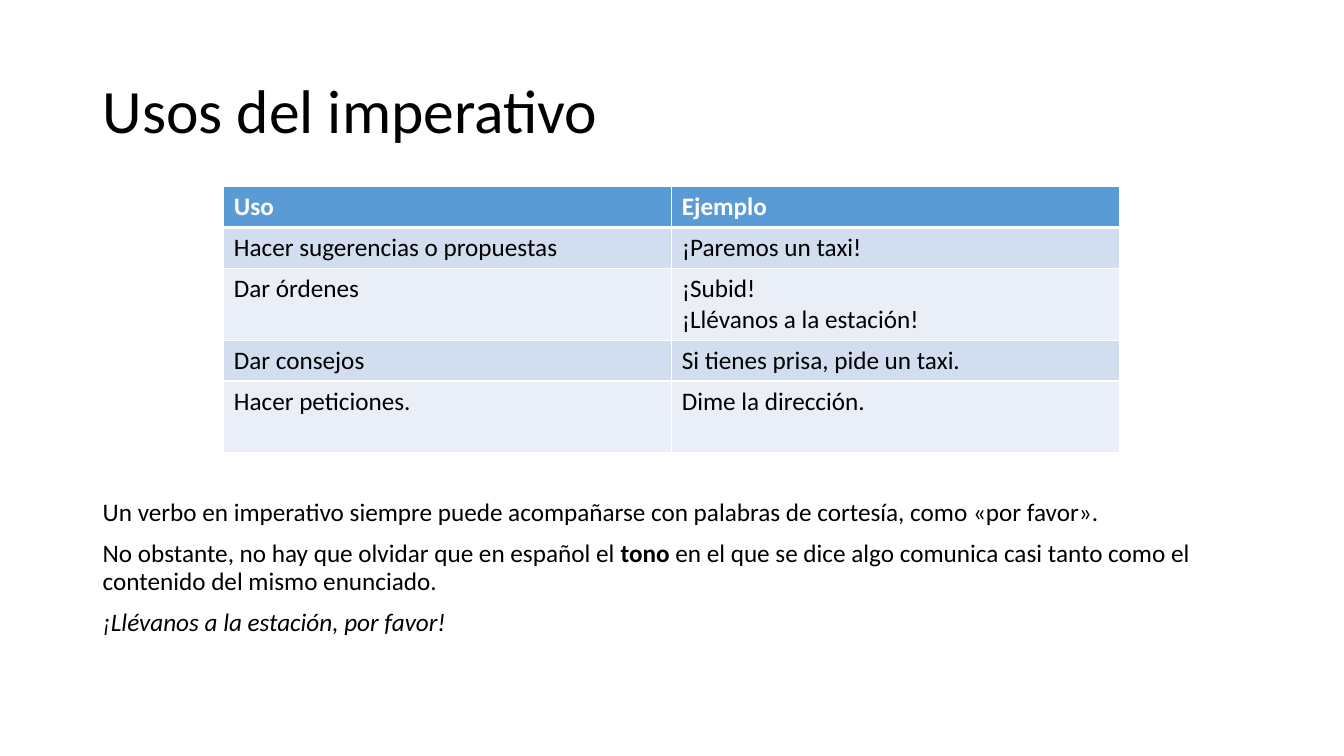
from dataclasses import dataclass
from lxml.etree import SubElement as Sub
from pptx import Presentation
from pptx.dml.color import RGBColor as Rgb
from pptx.enum.text import MSO_ANCHOR as Anchor, MSO_AUTO_SIZE as Fit, PP_ALIGN as Align
from pptx.oxml.ns import qn
from pptx.util import Cm, Pt


@dataclass(frozen=True)
class Theme:
    font: str = "Calibri"
    ink: str = "000000"
    white: str = "FFFFFF"
    head: str = "5B9BD5"
    bands: tuple = ("D2DEEF", "EAEFF7")
    title: int = 44
    text: int = 18


THEME = Theme()
LEFT, WIDTH = 2.34, 29.21

USES = [
    ("Uso", "Ejemplo"),
    ("Hacer sugerencias o propuestas", "¡Paremos un taxi!"),
    ("Dar órdenes", "¡Subid!\n¡Llévanos a la estación!"),
    ("Dar consejos", "Si tienes prisa, pide un taxi."),
    ("Hacer peticiones.", "Dime la dirección."),
]
LOW, TALL = 1.03, 1.81
ROWS = [LOW, LOW, TALL, LOW, TALL]

# Each note is a list of (text, style) pieces
NOTES = [
    [("Un verbo en imperativo siempre puede acompañarse con palabras "
      "de cortesía, como «por favor».", "")],
    [("No obstante, no hay que olvidar que en español el ", ""),
     ("tono", "bold"),
     (" en el que se dice algo comunica casi tanto como el contenido "
      "del mismo enunciado.", "")],
    [("¡Llévanos a la estación, por favor!", "italic")],
]


def style(run, size, color=THEME.ink, bold=False, italic=False):
    font = run.font
    font.name, font.size = THEME.font, Pt(size)
    font.bold, font.italic = bold, italic
    font.color.rgb = Rgb.from_string(color)


def add_title(slide, text):
    title = slide.shapes.title
    title.left, title.top = Cm(LEFT), Cm(1.02)
    title.width, title.height = Cm(WIDTH), Cm(3.68)
    frame = title.text_frame
    frame.text = text
    frame.auto_size = Fit.NONE
    frame.vertical_anchor = Anchor.MIDDLE
    para = frame.paragraphs[0]
    para.alignment, para.line_spacing = Align.LEFT, 0.9
    style(para.runs[0], THEME.title)


def add_edge(cell, side, width):
    line = Sub(cell._tc.get_or_add_tcPr(), qn("a:ln" + side), w=str(Pt(width)))
    Sub(Sub(line, qn("a:solidFill")), qn("a:srgbClr"), val=THEME.white)


def fill_cell(cell, text, row):
    head = row == 0
    for side in "LRTB":
        thick = (head and side == "B") or (row == 1 and side == "T")
        add_edge(cell, side, 3 if thick else 1)
    cell.fill.solid()
    back = THEME.head if head else THEME.bands[(row - 1) % 2]
    cell.fill.fore_color.rgb = Rgb.from_string(back)
    cell.text_frame.text = text
    for para in cell.text_frame.paragraphs:
        for run in para.runs:
            style(run, THEME.text, THEME.white if head else THEME.ink, head)


def add_grid(slide, data):
    frame = slide.shapes.add_table(len(data), 2, Cm(5.64), Cm(4.7),
                                   Cm(22.58), Cm(sum(ROWS)))
    table = frame.table
    table.horz_banding = False
    for r, (line, high) in enumerate(zip(data, ROWS)):
        table.rows[r].height = Cm(high)
        for c, text in enumerate(line):
            fill_cell(table.cell(r, c), text, r)


def add_notes(slide, notes):
    box = slide.shapes.add_textbox(Cm(LEFT), Cm(12.47), Cm(WIDTH), Cm(4.7))
    frame = box.text_frame
    frame.word_wrap = True
    for i, parts in enumerate(notes):
        para = frame.add_paragraph() if i else frame.paragraphs[0]
        para.line_spacing, para.space_before = 0.9, Pt(10)
        for text, kind in parts:
            run = para.add_run()
            run.text = text
            style(run, THEME.text, bold=kind == "bold", italic=kind == "italic")


def main():
    deck = Presentation()
    deck.slide_width, deck.slide_height = Cm(33.87), Cm(19.05)
    slide = deck.slides.add_slide(deck.slide_layouts[5])  # title only
    add_title(slide, "Usos del imperativo")
    add_grid(slide, USES)
    add_notes(slide, NOTES)
    deck.save("out.pptx")


main()
